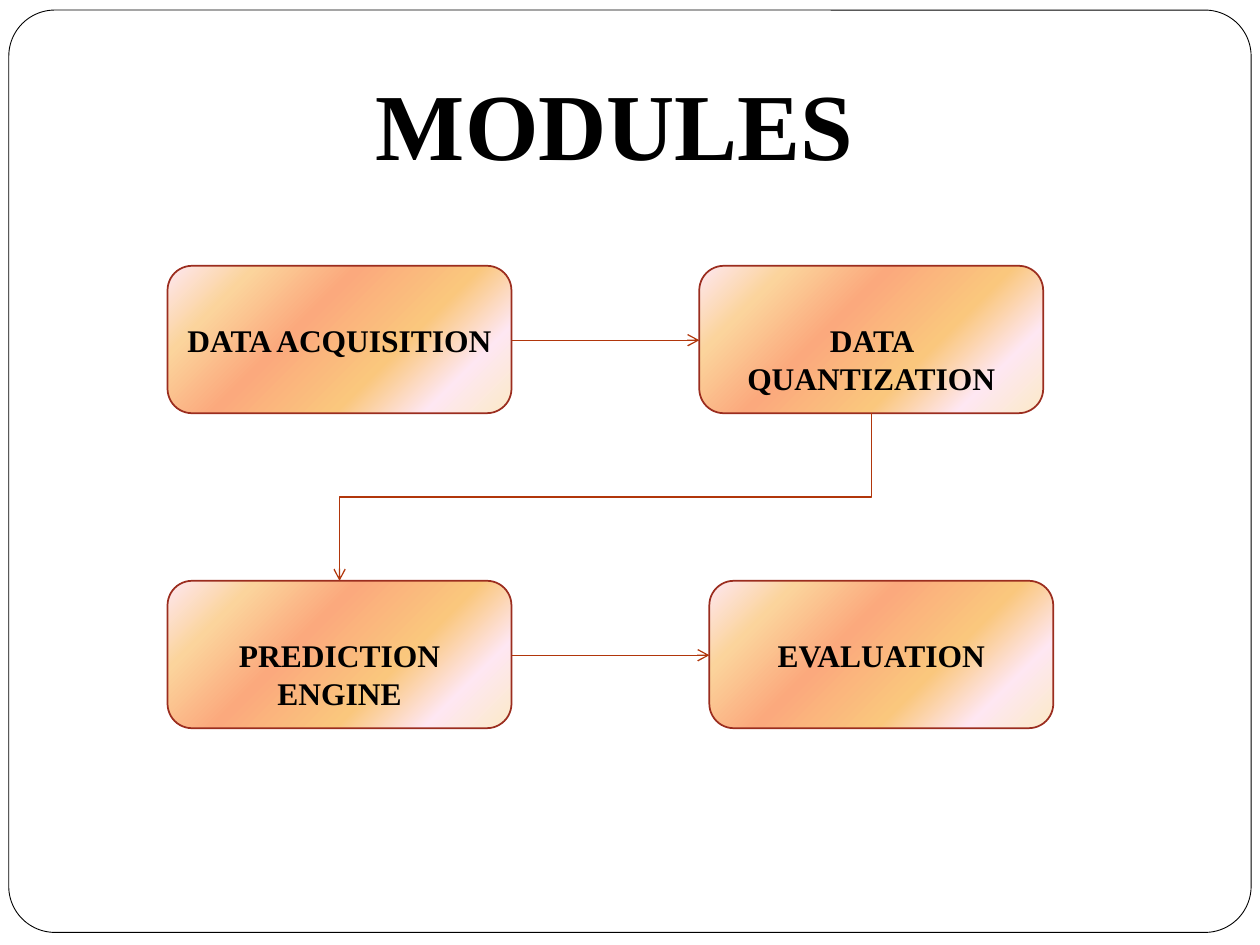
import pptx
import pptx.util
import pptx.dml.color
import pptx.enum.shapes
import pptx.enum.text
import pptx.oxml
import pptx.oxml.ns

Inches, Pt = pptx.util.Inches, pptx.util.Pt
SHAPE = pptx.enum.shapes.MSO_SHAPE
LINE = pptx.enum.shapes.MSO_CONNECTOR
NS = pptx.oxml.ns.nsdecls("a")
STOPS = [(0, "FBEAC7"), (18, "FEE7F2"), (36, "FAC77D"),
         (61, "FBA97D"), (82, "FBD49C"), (100, "FEE7F2")]
GRADIENT = (f"<a:gradFill {NS}><a:gsLst>"
            + "".join(f'<a:gs pos="{pos * 1000}"><a:srgbClr val="{c}"/></a:gs>' for pos, c in STOPS)
            + '</a:gsLst><a:lin ang="13500000" scaled="0"/></a:gradFill>')


def color(target, value):
    target.rgb = pptx.dml.color.RGBColor.from_string(value)


def write(sp, text, size):
    tf = sp.text_frame
    tf.word_wrap = True
    tf.auto_size = pptx.enum.text.MSO_AUTO_SIZE.SHAPE_TO_FIT_TEXT
    tf.vertical_anchor = pptx.enum.text.MSO_ANCHOR.TOP
    tf.text = text
    p = tf.paragraphs[0]
    p.alignment = pptx.enum.text.PP_ALIGN.CENTER
    font = p.runs[0].font
    font.name, font.size, font.bold = "Times New Roman", Pt(size), True
    color(font.color, "000000")


prs = pptx.Presentation()
prs.slide_width, prs.slide_height = Inches(10), Inches(7.5)
s = prs.slides.add_slide(prs.slide_layouts[5])

frame = s.shapes.add_shape(SHAPE.ROUNDED_RECTANGLE, Inches(0.07), Inches(0.08), Inches(9.86), Inches(7.32))
frame.adjustments[0] = 0.05
frame.shadow.inherit = False
frame.fill.solid()
color(frame.fill.fore_color, "FFFFFF")
color(frame.line.color, "000000")
frame.line.width = Pt(0.5)

title = s.shapes.title
s.shapes._spTree.append(title._element)
title.left, title.top, title.width, title.height = Inches(1.87), Inches(0.47), Inches(6.02), Inches(1.01)
write(title, "MODULES", 54)

box_w, box_h = 2.73, 1.17
modules = [("DATA ACQUISITION", 1.33, 2.11), ("DATA QUANTIZATION", 5.55, 2.11),
           ("PREDICTION ENGINE", 1.33, 4.61), ("EVALUATION", 5.63, 4.61)]
boxes = []
for name, x, y in modules:
    sp = s.shapes.add_shape(SHAPE.ROUNDED_RECTANGLE, Inches(x), Inches(y), Inches(box_w), Inches(box_h))
    sp.shadow.inherit = False
    sp._element.spPr.find(pptx.oxml.ns.qn("a:prstGeom")).addnext(pptx.oxml.parse_xml(GRADIENT))
    color(sp.line.color, "9B2D1F")
    sp.line.width = Pt(1)
    boxes.append(sp)
    label = s.shapes.add_textbox(Inches(x), Inches(y + 0.39), Inches(box_w), Inches(0.4))
    write(label, name, 18)

acquisition, quantization, prediction, evaluation = boxes
arrows = []
for start, end in [(acquisition, quantization), (prediction, evaluation)]:
    y = start.top + Inches(0.59)
    arrows.append(s.shapes.add_connector(LINE.STRAIGHT, start.left + start.width, y, end.left, y))

x1, y1 = quantization.left + quantization.width // 2, quantization.top + quantization.height
x2, y2 = prediction.left + prediction.width // 2, prediction.top
mid_x, mid_y = (x1 + x2) // 2, (y1 + y2) // 2
half_w, half_h = (y2 - y1) // 2, (x1 - x2) // 2
elbow = s.shapes.add_connector(LINE.ELBOW, mid_x - half_w, mid_y - half_h, mid_x + half_w, mid_y + half_h)
elbow._element.spPr.find(pptx.oxml.ns.qn("a:xfrm")).set("rot", "5400000")
arrows.append(elbow)

for arrow in arrows:
    color(arrow.line.color, "B1360B")
    arrow.line.width = Pt(0.75)
    arrow.line._get_or_add_ln().append(pptx.oxml.parse_xml(f'<a:tailEnd {NS} type="arrow"/>'))
    arrow._element.spPr.append(pptx.oxml.parse_xml(f"<a:effectLst {NS}/>"))

prs.save("out.pptx")
